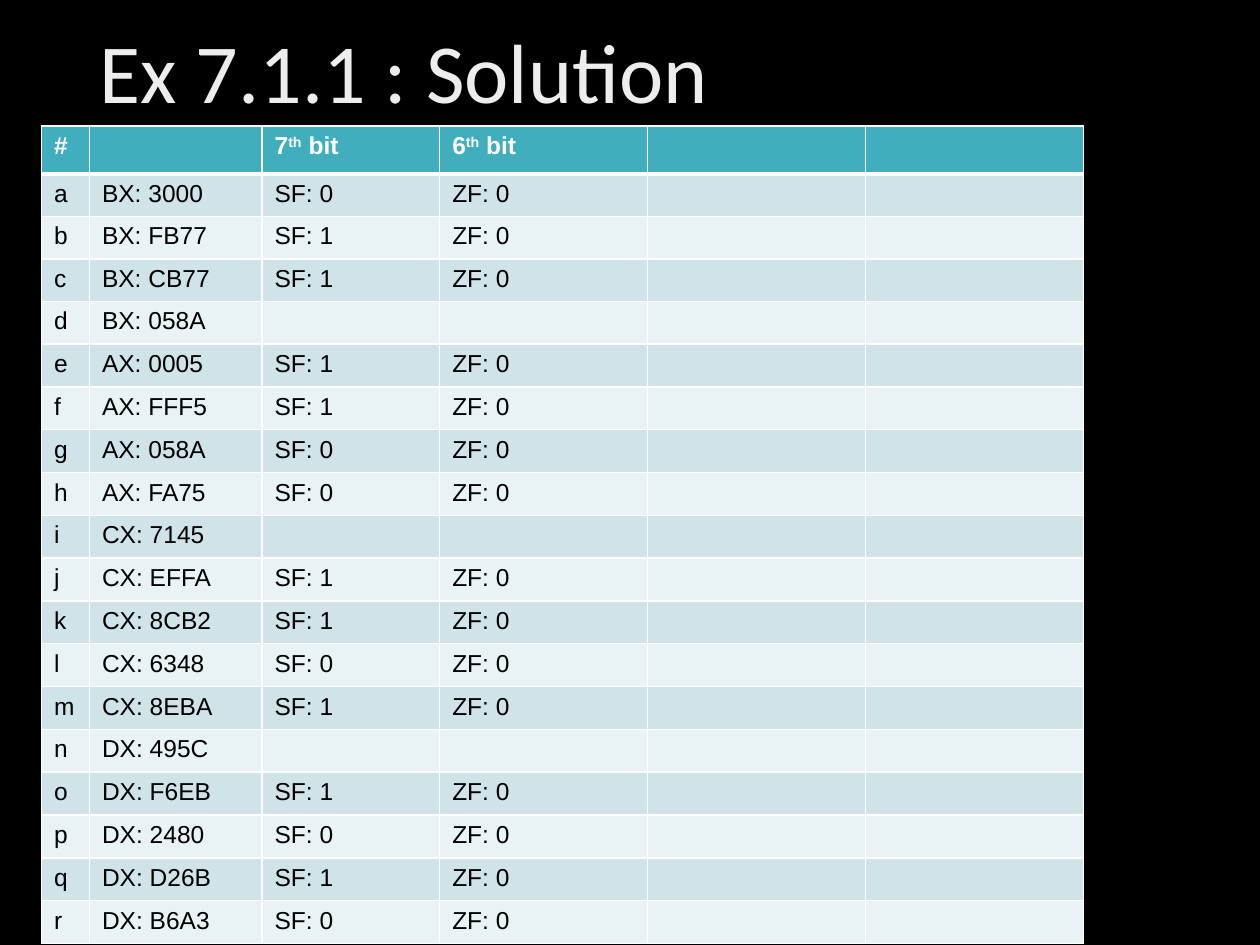
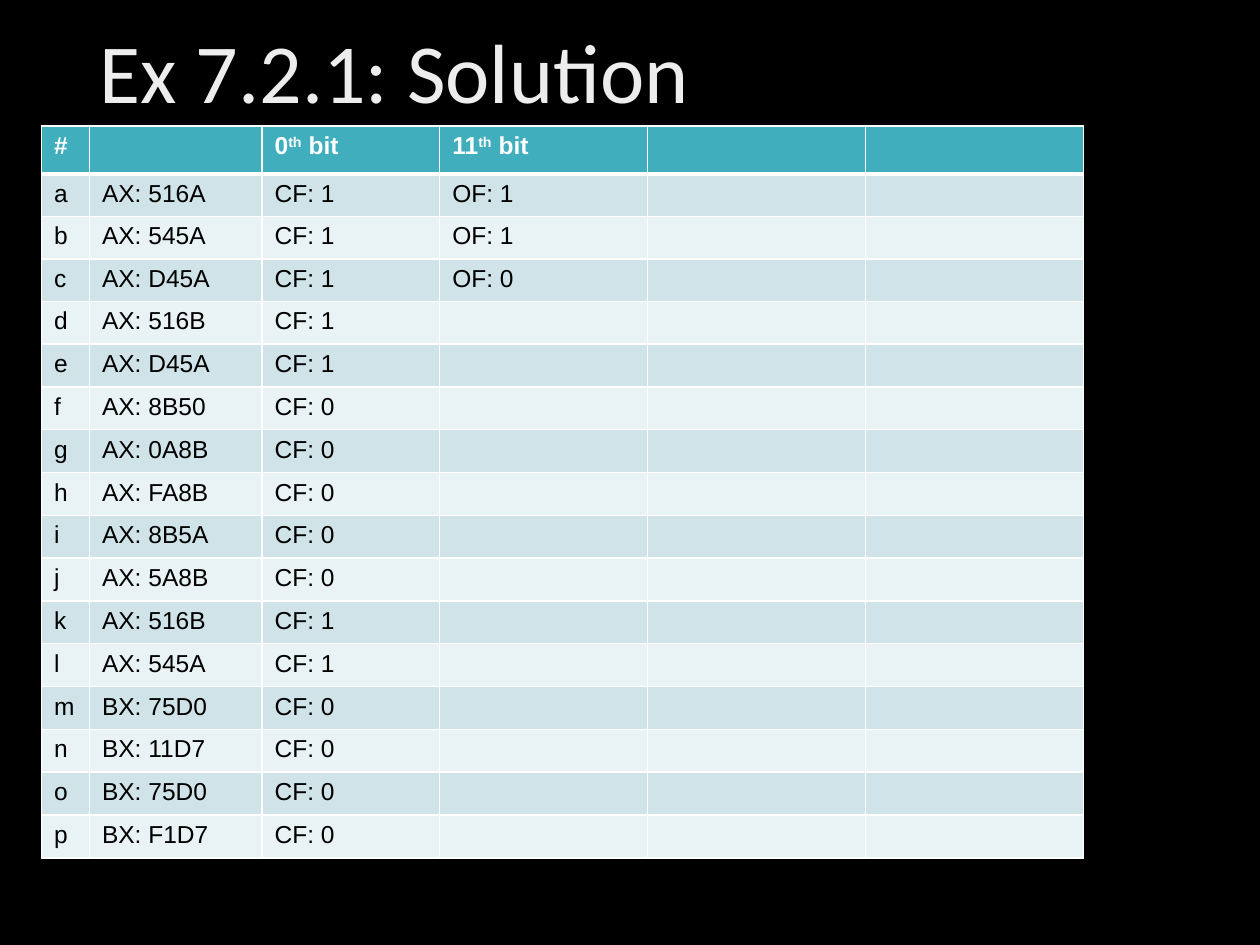
from lxml import etree
from pptx import Presentation
from pptx.dml.color import RGBColor
from pptx.enum.text import MSO_ANCHOR, MSO_AUTO_SIZE, PP_ALIGN
from pptx.oxml.ns import qn
from pptx.util import Inches, Pt

MIDDLE = MSO_ANCHOR.MIDDLE
NO_FIT = MSO_AUTO_SIZE.NONE
LEFT = PP_ALIGN.LEFT

SLIDES = [
    ("Ex 7.1.1 : Solution", ("7", "6"), [
        ("BX: 3000", "SF: 0", "ZF: 0"),
        ("BX: FB77", "SF: 1", "ZF: 0"),
        ("BX: CB77", "SF: 1", "ZF: 0"),
        ("BX: 058A",),
        ("AX: 0005", "SF: 1", "ZF: 0"),
        ("AX: FFF5", "SF: 1", "ZF: 0"),
        ("AX: 058A", "SF: 0", "ZF: 0"),
        ("AX: FA75", "SF: 0", "ZF: 0"),
        ("CX: 7145",),
        ("CX: EFFA", "SF: 1", "ZF: 0"),
        ("CX: 8CB2", "SF: 1", "ZF: 0"),
        ("CX: 6348", "SF: 0", "ZF: 0"),
        ("CX: 8EBA", "SF: 1", "ZF: 0"),
        ("DX: 495C",),
        ("DX: F6EB", "SF: 1", "ZF: 0"),
        ("DX: 2480", "SF: 0", "ZF: 0"),
        ("DX: D26B", "SF: 1", "ZF: 0"),
        ("DX: B6A3", "SF: 0", "ZF: 0"),
    ]),
    ("Ex 7.2.1: Solution", ("0", "11"), [
        ("AX: 516A", "CF: 1", "OF: 1"),
        ("AX: 545A", "CF: 1", "OF: 1"),
        ("AX: D45A", "CF: 1", "OF: 0"),
        ("AX: 516B", "CF: 1"),
        ("AX: D45A", "CF: 1"),
        ("AX: 8B50", "CF: 0"),
        ("AX: 0A8B", "CF: 0"),
        ("AX: FA8B", "CF: 0"),
        ("AX: 8B5A", "CF: 0"),
        ("AX: 5A8B", "CF: 0"),
        ("AX: 516B", "CF: 1"),
        ("AX: 545A", "CF: 1"),
        ("BX: 75D0", "CF: 0"),
        ("BX: 11D7", "CF: 0"),
        ("BX: 75D0", "CF: 0"),
        ("BX: F1D7", "CF: 0"),
    ]),
]

LETTERS = "abcdefghijklmnopqr"
COL_WIDTHS = [0.38, 1.37, 1.41, 1.65, 1.73, 1.73]
HEADER_HEIGHT, SHORT_HEIGHT, ROW_HEIGHT = 0.38, 0.31, 0.34
SHORT_ROWS = 3
BLACK, WHITE = "000000", "FFFFFF"
HEADER_FILL = "41AEBD"
BAND_FILLS = ["E9F2F4", "CFE3E8"]
TITLE_STOPS = [(0, "BFBFBF"), (28, "EDEDED"), (100, WHITE)]
TITLE_ANGLE = 80


def rgb(value):
    return RGBColor.from_string(value)


def add_xml(parent, tag, **attrs):
    return etree.SubElement(parent, qn(tag), attrs)


def add_title(s, text):
    sp = s.shapes.title
    sp.left, sp.top, sp.width, sp.height = map(Inches, (0.69, -0.12, 8.62, 1.45))
    tf = sp.text_frame
    tf.text = text
    tf.word_wrap = True
    tf.auto_size = NO_FIT
    tf.vertical_anchor = MIDDLE
    p = tf.paragraphs[0]
    p.alignment = LEFT
    p.line_spacing = 0.9
    r = p.runs[0]
    rPr = r._r.get_or_add_rPr()
    grad = add_xml(rPr, "a:gradFill")
    stops = add_xml(grad, "a:gsLst")
    for pos, color in TITLE_STOPS:
        stop = add_xml(stops, "a:gs", pos=str(pos * 1000))
        add_xml(stop, "a:srgbClr", val=color)
    add_xml(grad, "a:lin", ang=str(TITLE_ANGLE * 60000), scaled="0")
    r.font.size = Pt(48)
    r.font.name = "Calibri"


def set_borders(cell, row):
    tcPr = cell._tc.get_or_add_tcPr()
    thick = {0: "a:lnB", 1: "a:lnT"}.get(row)
    for tag in ("a:lnL", "a:lnR", "a:lnT", "a:lnB"):
        width = Pt(3 if tag == thick else 1)
        line = add_xml(tcPr, tag, w=str(width))
        add_xml(add_xml(line, "a:solidFill"), "a:srgbClr", val=WHITE)


def fill_cell(cell, row, parts):
    set_borders(cell, row)
    cell.fill.solid()
    cell.fill.fore_color.rgb = rgb(BAND_FILLS[row % 2] if row else HEADER_FILL)
    p = cell.text_frame.paragraphs[0]
    before = add_xml(p._p.get_or_add_pPr(), "a:spcBef")
    add_xml(before, "a:spcPct", val="50000")
    for part in parts:
        r = p.add_run()
        r.text = part
        r.font.size = Pt(14)
        r.font.name = "Arial"
        r.font.bold = row == 0
        r.font.color.rgb = rgb(BLACK if row else WHITE)
        if part == "th":
            r._r.get_or_add_rPr().set("baseline", "30000")
    if not parts:
        add_xml(p._p, "a:endParaRPr", sz="1400")


def add_flag_table(s, bits, results):
    header = [["#"], []] + [[bit, "th", " bit"] for bit in bits]
    body = [[[text] for text in (letter, *result)]
            for letter, result in zip(LETTERS, results)]
    rows = [header] + body
    heights = [HEADER_HEIGHT] + [SHORT_HEIGHT] * SHORT_ROWS
    heights += [ROW_HEIGHT] * (len(rows) - len(heights))
    frame = s.shapes.add_table(len(rows), len(COL_WIDTHS), Inches(0.33), Inches(1),
                               Inches(sum(COL_WIDTHS)), Inches(sum(heights)))
    table = frame.table
    table.horz_banding = False
    for col, width in zip(table.columns, COL_WIDTHS):
        col.width = Inches(width)
    for i, (row, height) in enumerate(zip(rows, heights)):
        table.rows[i].height = Inches(height)
        for j in range(len(COL_WIDTHS)):
            fill_cell(table.cell(i, j), i, row[j] if j < len(row) else [])


def main():
    prs = Presentation()
    prs.slide_width, prs.slide_height = Inches(10), Inches(7.5)
    background = prs.slide_master.background.fill
    background.solid()
    background.fore_color.rgb = rgb(BLACK)
    for title, bits, results in SLIDES:
        s = prs.slides.add_slide(prs.slide_layouts[5])
        add_title(s, title)
        add_flag_table(s, bits, results)
    prs.save("out.pptx")


if __name__ == "__main__":
    main()
